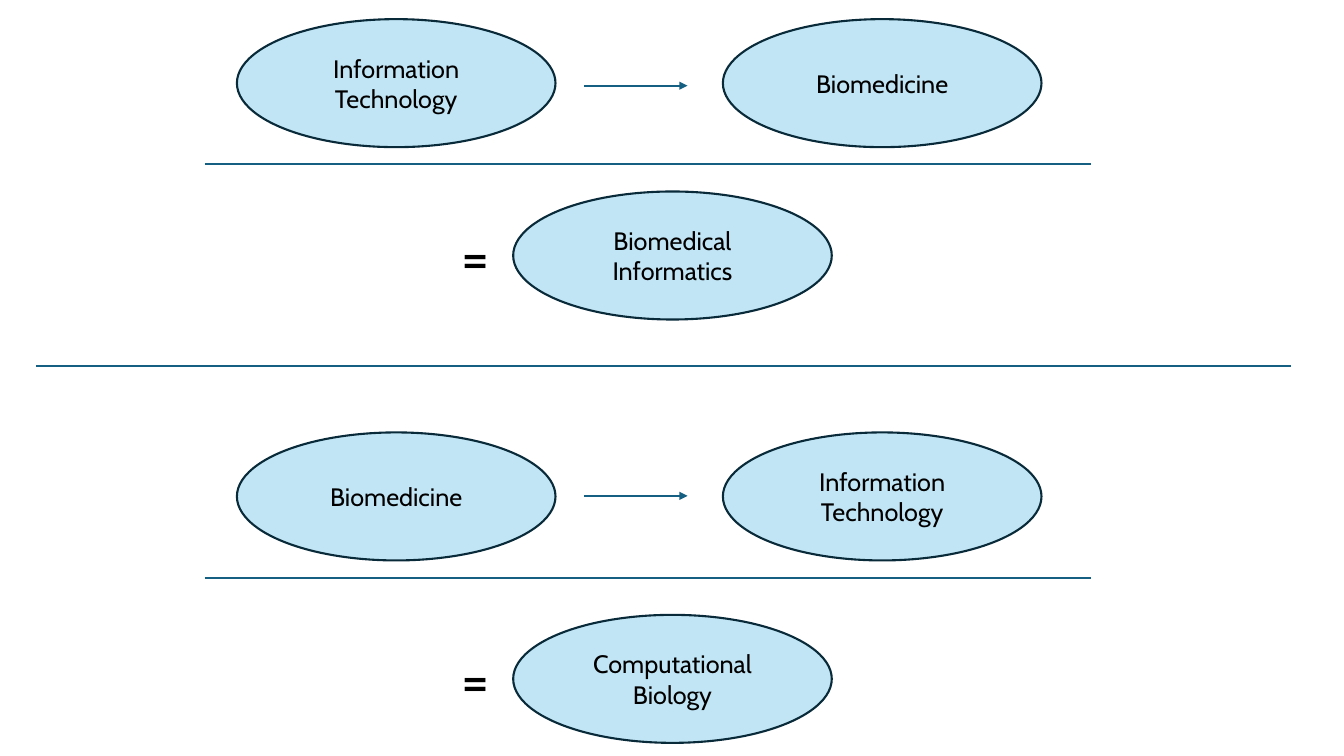
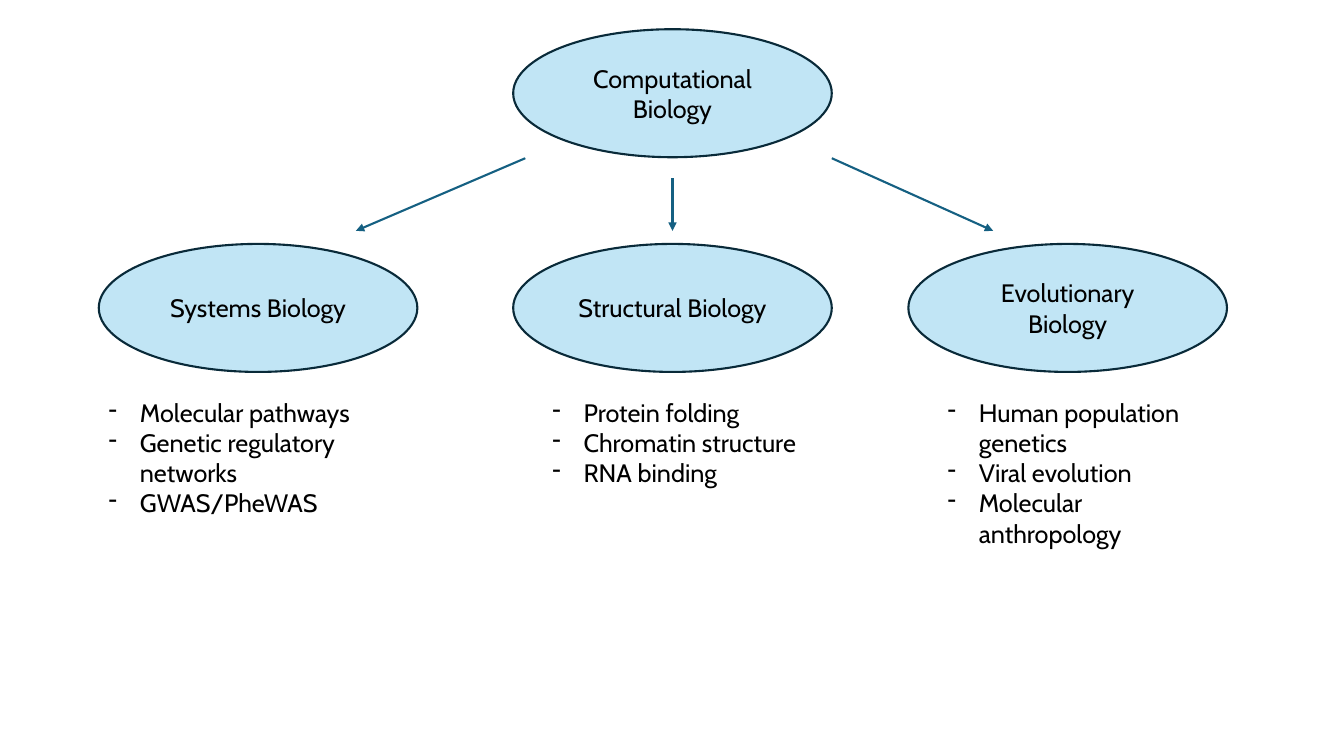
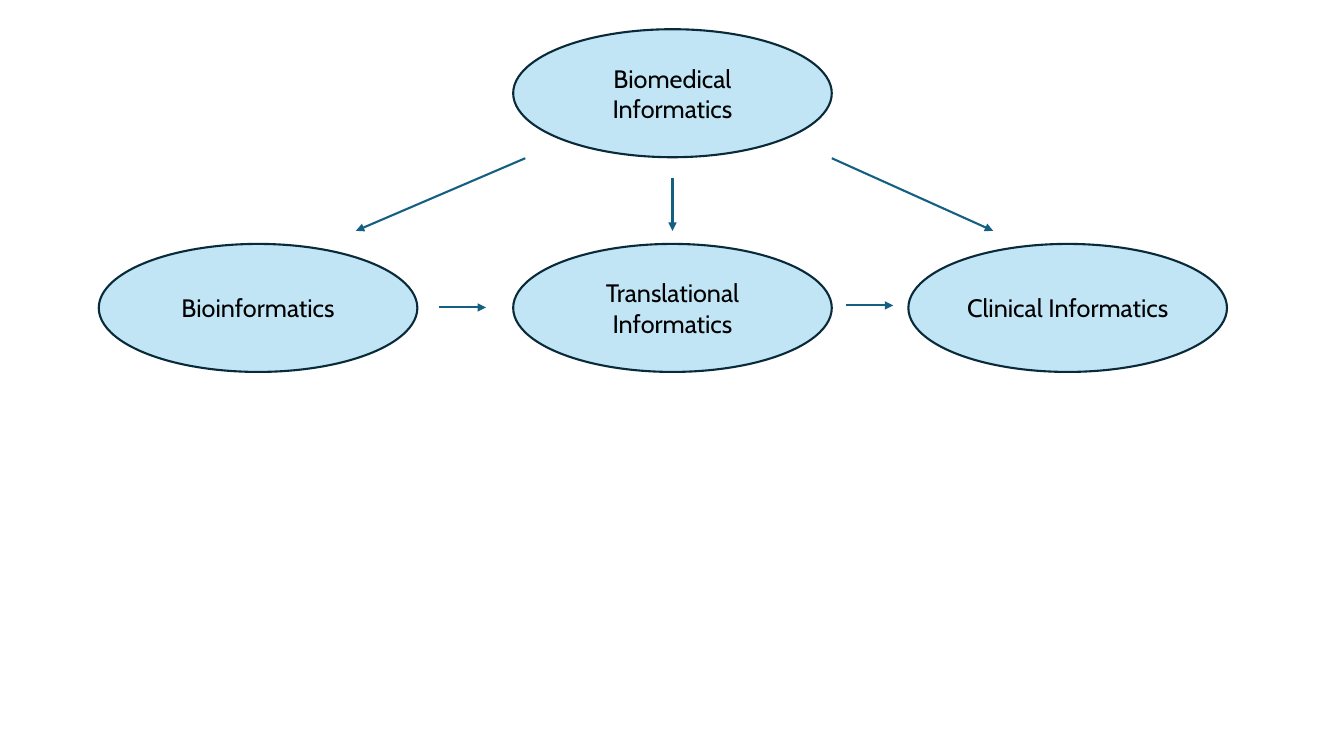
from dataclasses import dataclass

from lxml import etree
from pptx import Presentation
from pptx.dml.color import RGBColor
from pptx.enum.shapes import MSO_CONNECTOR, MSO_SHAPE
from pptx.enum.text import MSO_ANCHOR, MSO_AUTO_SIZE, PP_ALIGN
from pptx.oxml.ns import qn
from pptx.util import Inches, Pt

ELLIPSE = MSO_SHAPE.OVAL
STRAIGHT = MSO_CONNECTOR.STRAIGHT
CENTER = PP_ALIGN.CENTER
LEFT = PP_ALIGN.LEFT
MIDDLE = MSO_ANCHOR.MIDDLE
TOP = MSO_ANCHOR.TOP
FIT_SHAPE = MSO_AUTO_SIZE.SHAPE_TO_FIT_TEXT
BLANK_LAYOUT = 6


@dataclass(frozen=True)
class Theme:
    font: str = "Cabin"
    text: RGBColor = RGBColor.from_string("000000")
    fill: RGBColor = RGBColor.from_string("C1E5F5")
    outline: RGBColor = RGBColor.from_string("092A39")
    accent: RGBColor = RGBColor.from_string("156082")
    body_size: Pt = Pt(18)
    sign_size: Pt = Pt(40)
    stroke: Pt = Pt(1.5)


@dataclass(frozen=True)
class Grid:
    width: float = 13.33
    height: float = 7.5
    node_width: float = 3.16
    node_height: float = 1.27
    tree_columns: tuple = (0.98, 5.09, 9.01)
    tree_rows: tuple = (0.29, 2.42)
    pair_columns: tuple = (2.35, 7.17)
    equation_rows: tuple = (0.19, 4.29)
    list_row: float = 3.89
    list_width: float = 2.87
    list_indent: float = 0.31
    line_height: float = 0.3
    inset: float = 0.05


THEME = Theme()
GRID = Grid()
BRANCHES = (
    ((5.21, 1.57), (3.53, 2.29)),
    ((6.67, 1.77), (6.67, 2.29)),
    ((8.25, 1.57), (9.85, 2.29)),
)


def apply_format(target, values):
    for name, value in values.items():
        setattr(target, name, value)


def write_paragraphs(frame, lines, size, alignment, anchor):
    apply_format(frame, {"word_wrap": True, "vertical_anchor": anchor})
    for index, line in enumerate(lines):
        paragraph = frame.add_paragraph() if index else frame.paragraphs[0]
        paragraph.alignment = alignment
        run = paragraph.add_run()
        run.text = line
        apply_format(run.font, {"name": THEME.font, "size": size})
        run.font.color.rgb = THEME.text


def add_node(slide, left, top, label):
    shape = slide.shapes.add_shape(
        ELLIPSE, Inches(left), Inches(top),
        Inches(GRID.node_width), Inches(GRID.node_height),
    )
    shape.shadow.inherit = False
    shape.fill.solid()
    shape.fill.fore_color.rgb = THEME.fill
    shape.line.color.rgb = THEME.outline
    shape.line.width = THEME.stroke
    write_paragraphs(shape.text_frame, [label], THEME.body_size, CENTER, MIDDLE)


def add_line(slide, start, end, arrow=False):
    points = [Inches(value) for value in (*start, *end)]
    connector = slide.shapes.add_connector(STRAIGHT, *points)
    connector.line.color.rgb = THEME.accent
    connector.line.width = THEME.stroke
    if arrow:
        line = connector.line._get_or_add_ln()
        etree.SubElement(line, qn("a:tailEnd"), type="triangle")
    properties = connector._element.spPr
    etree.SubElement(properties, qn("a:effectLst"))


def add_text(slide, left, top, width, height, lines, size):
    box = slide.shapes.add_textbox(*map(Inches, (left, top, width, height)))
    write_paragraphs(box.text_frame, lines, size, LEFT, TOP)
    box.text_frame.auto_size = FIT_SHAPE
    return box


def add_dash_list(slide, left, items, rows):
    height = rows * GRID.line_height + 2 * GRID.inset
    box = add_text(slide, left, GRID.list_row, GRID.list_width, height,
                   items, THEME.body_size)
    indent = Inches(GRID.list_indent)
    for paragraph in box.text_frame.paragraphs:
        properties = paragraph._p.get_or_add_pPr()
        properties.set("marL", str(indent))
        properties.set("indent", str(-indent))
        etree.SubElement(properties, qn("a:buFontTx"))
        etree.SubElement(properties, qn("a:buChar"), char="-")


def add_equation(slide, top, operands, result, arrow_offset, result_offset):
    for left, label in zip(GRID.pair_columns, operands):
        add_node(slide, left, top, label)
    arrow_top = top + arrow_offset
    add_line(slide, (5.79, arrow_top), (6.82, arrow_top), arrow=True)
    rule_top = top + 1.44
    add_line(slide, (2.03, rule_top), (10.82, rule_top))
    result_top = top + result_offset
    add_node(slide, GRID.tree_columns[1], result_top, result)
    add_text(slide, 4.48, result_top + 0.25, 0.92, 0.77, ["="], THEME.sign_size)


def add_tree(slide, root, children):
    root_row, child_row = GRID.tree_rows
    add_node(slide, GRID.tree_columns[1], root_row, root)
    for left, label in zip(GRID.tree_columns, children):
        add_node(slide, left, child_row, label)
    for start, end in BRANCHES:
        add_line(slide, start, end, arrow=True)


def build_equations(slide):
    technology, medicine = "Information Technology", "Biomedicine"
    upper, lower = GRID.equation_rows
    add_equation(slide, upper, (technology, medicine),
                 "Biomedical Informatics", 0.66, 1.71)
    add_equation(slide, lower, (medicine, technology),
                 "Computational Biology", 0.63, 1.81)
    add_line(slide, (0.36, 3.63), (12.8, 3.63))


def build_computational_biology(slide):
    add_tree(slide, "Computational Biology",
             ("Systems Biology", "Structural Biology", "Evolutionary Biology"))
    topics = (
        (0.98, 4, ("Molecular pathways", "Genetic regulatory networks",
                   "GWAS/PheWAS")),
        (5.38, 3, ("Protein folding", "Chromatin structure", "RNA binding")),
        (9.3, 6, ("Human population genetics", "Viral evolution",
                  "Molecular anthropology")),
    )
    for left, rows, items in topics:
        add_dash_list(slide, left, items, rows)


def build_biomedical_informatics(slide):
    add_tree(slide, "Biomedical Informatics",
             ("Bioinformatics", "Translational Informatics",
              "Clinical Informatics"))
    for left, top in ((4.35, 3.05), (8.39, 3.03)):
        add_line(slide, (left, top), (left + 0.47, top), arrow=True)


def main():
    presentation = Presentation()
    apply_format(presentation, {
        "slide_width": Inches(GRID.width),
        "slide_height": Inches(GRID.height),
    })
    layout = presentation.slide_layouts[BLANK_LAYOUT]
    for build in (build_equations, build_computational_biology,
                  build_biomedical_informatics):
        build(presentation.slides.add_slide(layout))
    presentation.save("out.pptx")


if __name__ == "__main__":
    main()
